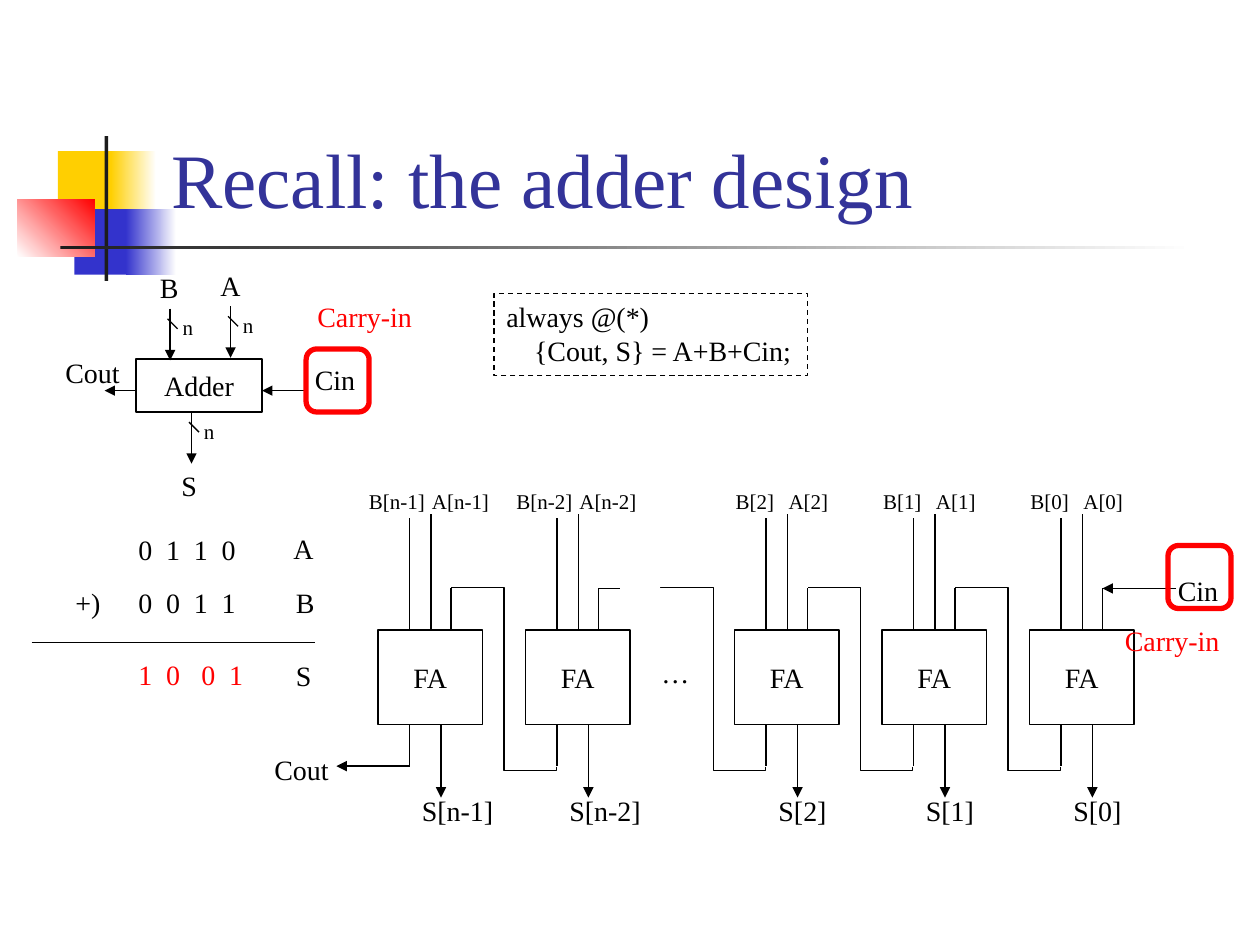
from dataclasses import dataclass
from typing import Any, NamedTuple

from lxml.etree import SubElement
from pptx import Presentation
from pptx.dml.color import RGBColor
from pptx.enum.dml import MSO_LINE
from pptx.enum.shapes import MSO_CONNECTOR, MSO_SHAPE
from pptx.enum.text import MSO_ANCHOR, MSO_AUTO_SIZE, PP_ALIGN
from pptx.oxml.ns import qn
from pptx.util import Inches, Pt


@dataclass(frozen=True)
class Theme:
    font: str = "Times New Roman"
    ink: str = "000000"
    red: str = "FF0000"
    title: str = "333399"
    gold: str = "FFCF01"
    blue: str = "3333CC"
    dark: str = "1C1C1C"
    white: str = "FFFFFF"
    head: int = 44
    body: int = 16
    small: int = 12
    thin: float = 0.75
    thick: float = 3


class Box(NamedTuple):
    x: float
    y: float
    w: float
    h: float


class Block(NamedTuple):
    box: Box
    start: str
    end: str = ""
    angle: int = 0


class Label(NamedTuple):
    text: str
    x: float
    y: float
    w: float
    color: str = Theme.ink


class Adder(NamedTuple):
    bit: str
    x: float
    wide: bool


class Bus(NamedTuple):
    name: str
    x: float
    y: float
    w: float
    shift: float


class Sum(NamedTuple):
    digits: str
    y: float
    w: float
    stops: tuple[float, ...]
    color: str = Theme.ink


T = Theme()
deck = Presentation()
deck.slide_width, deck.slide_height = Inches(10), Inches(7.5)
slide = deck.slides.add_slide(deck.slide_layouts[5])


# Drawing helpers
def put(item: Any, values: dict[str, Any]) -> None:
    for key, value in values.items():
        setattr(item, key, value)


def style(para: Any, size: int, color: str) -> None:
    put(para.font, {"name": T.font, "size": Pt(size)})
    para.font.color.rgb = RGBColor.from_string(color)


def stroke(line: Any, color: str, width: float) -> None:
    line.color.rgb = RGBColor.from_string(color)
    line.width = Pt(width)


def write(root: Any, tag: Label, size: int = T.body, high: float = 0.37) -> Any:
    box = root.add_textbox(*map(Inches, (tag.x, tag.y, tag.w, high)))
    frame = box.text_frame
    frame.text = tag.text
    put(frame, {"word_wrap": False, "auto_size": MSO_AUTO_SIZE.SHAPE_TO_FIT_TEXT})
    for para in frame.paragraphs:
        style(para, size, tag.color)
    return box


def shape(root: Any, kind: Any, box: Box) -> Any:
    item = root.add_shape(kind, *map(Inches, box))
    item.shadow.inherit = False
    return item


def frame(root: Any, box: Box, text: str) -> None:
    item = shape(root, MSO_SHAPE.RECTANGLE, box)
    item.fill.background()
    stroke(item.line, T.ink, T.thin)
    body = item.text_frame
    body.text = text
    put(body, {"word_wrap": False, "vertical_anchor": MSO_ANCHOR.MIDDLE})
    para = body.paragraphs[0]
    para.alignment = PP_ALIGN.CENTER
    style(para, T.body, T.ink)


def wire(root: Any, x1: float, y1: float, x2: float, y2: float,
         tip: bool = False, kind: Any = MSO_CONNECTOR.STRAIGHT) -> Any:
    item = root.add_connector(kind, *map(Inches, (x1, y1, x2, y2)))
    stroke(item.line, T.ink, T.thin)
    props = item.element.spPr
    if tip:
        SubElement(props.find(qn("a:ln")), qn("a:tailEnd"), type="triangle")
    SubElement(props, qn("a:effectLst"))
    return item


def carry(root: Any, x: float) -> None:
    """Route the carry from the adder at x to its left neighbour."""
    left = x - 0.88
    item = wire(root, left, 5.79, left + 1.42, 4.96, kind=MSO_CONNECTOR.ELBOW)
    props = item.element.spPr
    props.find(qn("a:xfrm")).set("rot", str(270 * 60000))
    shape_of = props.find(qn("a:prstGeom"))
    shape_of.set("prst", "bentConnector5")
    guides = shape_of.find(qn("a:avLst"))
    for i, value in enumerate((-2000, 50000, 100200), 1):
        SubElement(guides, qn("a:gd"), name=f"adj{i}", fmla=f"val {value}")


# Corner blocks and rule
BLOCKS = (
    Block(Box(0.46, 1.2, 0.48, 0.52), T.gold),
    Block(Box(0.88, 1.2, 0.36, 0.52), T.gold, T.white),
    Block(Box(0.59, 1.66, 0.46, 0.52), T.blue),
    Block(Box(1, 1.66, 0.4, 0.52), T.blue, T.white),
    Block(Box(0.14, 1.58, 0.61, 0.46), T.white, T.red, 45),
    Block(Box(0.83, 1.08, 0.03, 1.15), T.dark),
    Block(Box(0.48, 1.95, 9, 0.03), T.dark, T.white),
)
for block in BLOCKS:
    item = shape(slide.shapes, MSO_SHAPE.RECTANGLE, block.box)
    item.line.fill.background()
    if block.end:
        item.fill.gradient()
        item.fill.gradient_angle = block.angle
        for stop, color in zip(item.fill.gradient_stops, (block.start, block.end)):
            stop.color.rgb = RGBColor.from_string(color)
    else:
        item.fill.solid()
        item.fill.fore_color.rgb = RGBColor.from_string(block.start)

# Title, in front of the blocks
title = slide.shapes.title
put(title, dict(zip(("left", "top", "width", "height"),
                    map(Inches, (1.26, 0.23, 8.52, 1.6)))))
title.text_frame.text = "Recall: the adder design"
put(title.text_frame, {"vertical_anchor": MSO_ANCHOR.BOTTOM,
                       "auto_size": MSO_AUTO_SIZE.NONE, "word_wrap": True})
title.text_frame.paragraphs[0].alignment = PP_ALIGN.LEFT
style(title.text_frame.paragraphs[0], T.head, T.title)
slide.shapes.element.append(title.element)

# Chain of full adders
ADDERS = (Adder("0", 8.17, False), Adder("1", 7, False), Adder("2", 5.83, False),
          Adder("n-2", 4.17, True), Adder("n-1", 3, True))
chain = slide.shapes.add_group_shape().shapes
for bit, x, wide in ADDERS:
    frame(chain, Box(x, 5, 0.83, 0.75), "FA")
    for dx in (0.58, 0.42, 0.25):
        wire(chain, x + dx, 5, x + dx, 4.67)
    for dx in (0.5, 0.25):
        wire(chain, x + dx, 6.08, x + dx, 5.75)
    wire(chain, x + 0.42, 4.67, x + 0.42, 4.08)
    wire(chain, x + 0.25, 4.69, x + 0.25, 4.11)
    wire(chain, x + 0.5, 6.08, x + 0.5, 6.33, tip=True)
    span = 0.65 if wide else 0.52
    write(chain, Label(f"A[{bit}]", x + 0.33, 3.83, span), T.small, 0.3)
    write(chain, Label(f"B[{bit}]", x - (0.17 if wide else 0.09), 3.83, span), T.small, 0.3)
    write(chain, Label(f"S[{bit}]", x + 0.25, 6.25, 0.77 if wide else 0.59))
for adder in ADDERS[:-1]:
    carry(chain, adder.x)
wire(chain, 4.75, 4.67, 4.92, 4.67)
wire(chain, 9.33, 4.67, 8.75, 4.67, tip=True)
wire(chain, 3.25, 6.08, 2.67, 6.08, tip=True)
for tag in (Label("…", 5.15, 5.15, 0.42), Label("Cin", 9.25, 4.5, 0.52),
            Label("Cout", 2.08, 5.92, 0.63)):
    write(chain, tag)

# Adder symbol
symbol = slide.shapes.add_group_shape().shapes
frame(symbol, Box(1.08, 2.85, 1, 0.42), "Adder")
for bus in (Bus("A", 1.83, 2.43, 0.36, -0.35), Bus("B", 1.35, 2.45, 0.35, -0.35),
            Bus("S", 1.52, 3.27, 0.32, 0.4)):
    wire(symbol, bus.x, bus.y, bus.x, bus.y + 0.41, tip=True)
    wire(symbol, bus.x - 0.02, bus.y + 0.08, bus.x + 0.06, bus.y + 0.16)
    write(symbol, Label("n", bus.x, bus.y, 0.28), T.small, 0.3)
    write(symbol, Label(bus.name, bus.x - 0.18, bus.y + bus.shift, bus.w))
wire(symbol, 2.42, 3.1, 2.08, 3.1, tip=True)
wire(symbol, 1.08, 3.1, 0.83, 3.1, tip=True)
write(symbol, Label("Cin", 2.4, 2.83, 0.52))
write(symbol, Label("Cout", 0.42, 2.77, 0.63))

# Code box
code = write(slide.shapes, Label("always @(*)\n{Cout, S} = A+B+Cin;", 3.92, 2.33, 2.49), high=0.65)
stroke(code.line, T.ink, T.thin)
code.line.dash_style = MSO_LINE.DASH
code.text_frame.paragraphs[1]._p.get_or_add_pPr().set("marL", str(Inches(0.22)))

# Worked sum
work = slide.shapes.add_group_shape().shapes
EVEN = (0.22, 0.44, 0.66)
for row in (Sum("0110", 4.18, 0.98, EVEN), Sum("0011", 4.6, 0.98, EVEN),
            Sum("1001", 5.17, 1.03, (0.22, 0.5, 0.72), T.red)):
    box = write(work, Label("\t".join(row.digits), 1, row.y, row.w, row.color))
    tabs = SubElement(box.text_frame.paragraphs[0]._p.get_or_add_pPr(), qn("a:tabLst"))
    for stop in row.stops:
        SubElement(tabs, qn("a:tab"), pos=str(Inches(stop)), algn="l")
for tag in (Label("+)", 0.5, 4.6, 0.4), Label("A", 2.23, 4.17, 0.36),
            Label("B", 2.25, 4.6, 0.35), Label("S", 2.25, 5.18, 0.32)):
    write(work, tag)
wire(work, 0.25, 5.1, 2.5, 5.1)

# Carry-in marks
for ring, tag in ((Box(2.43, 2.77, 0.5, 0.5), Label("Carry-in", 2.42, 2.33, 0.96, T.red)),
                  (Box(9.27, 4.33, 0.5, 0.5), Label("Carry-in", 8.83, 4.9, 0.96, T.red))):
    mark = slide.shapes.add_group_shape().shapes
    item = shape(mark, MSO_SHAPE.ROUNDED_RECTANGLE, ring)
    item.fill.background()
    stroke(item.line, T.red, T.thick)
    write(mark, tag)

deck.save("out.pptx")
